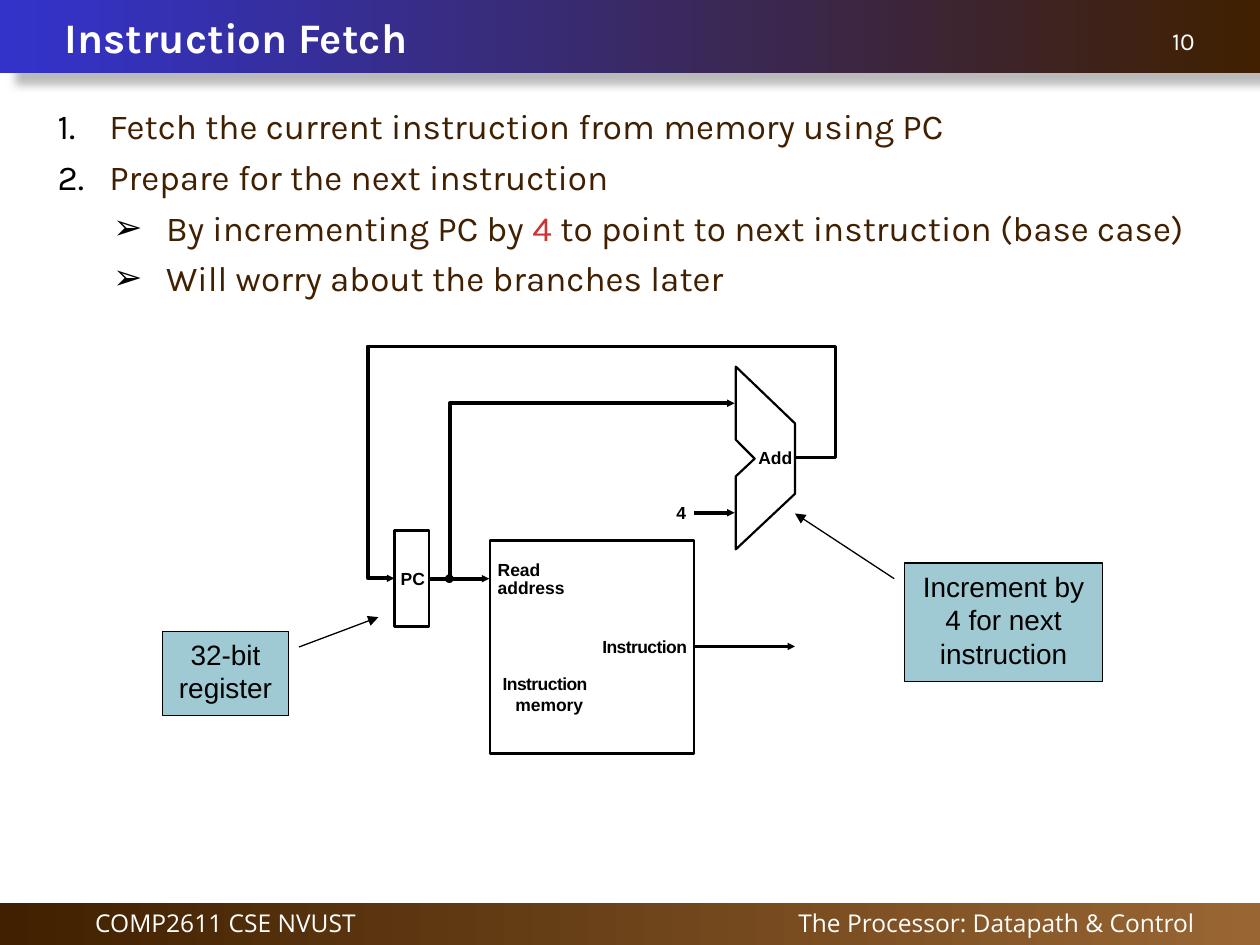
"""Build the Instruction Fetch slide with its datapath diagram."""
from lxml import etree
from pptx import Presentation
from pptx.dml.color import RGBColor
from pptx.enum.shapes import MSO_CONNECTOR, MSO_SHAPE
from pptx.enum.text import MSO_ANCHOR, PP_ALIGN
from pptx.oxml.ns import qn
from pptx.util import Pt

RECT, OVAL, CALLOUT = MSO_SHAPE.RECTANGLE, MSO_SHAPE.OVAL, MSO_SHAPE.LINE_CALLOUT_1
STRAIGHT = MSO_CONNECTOR.STRAIGHT
LEFT, CENTER, RIGHT = PP_ALIGN.LEFT, PP_ALIGN.CENTER, PP_ALIGN.RIGHT
TOP, MIDDLE = MSO_ANCHOR.TOP, MSO_ANCHOR.MIDDLE
BLACK, WHITE, BROWN, RED, TEAL = "000000", "FFFFFF", "402000", "CD3333", "9FCAD3"
WIRE, OUTLINE = 2.13, 1.25
rgb = RGBColor.from_string


def add_run(p, text, size, font, color, bold=False):
    r = p.add_run()
    r.text = text
    r.font.size, r.font.name, r.font.bold = Pt(size), font, bold
    r.font.color.rgb = rgb(color)
    return r


def style_line(sp, width, arrow=None):
    sp.line.color.rgb = rgb(BLACK)
    sp.line.width = Pt(width)
    spPr = sp._element.spPr
    if arrow:
        etree.SubElement(spPr.find(qn("a:ln")), qn("a:tailEnd"), type="triangle", w=arrow, len=arrow)
    etree.SubElement(spPr, qn("a:effectLst"))


prs = Presentation()
prs.slide_width, prs.slide_height = Pt(720), Pt(540)
s = prs.slides.add_slide(prs.slide_layouts[6])

bars = [(516.2, 23.8, "996633", BROWN), (0, 41.8, BROWN, "3333CC")]
for top, height, first, last in bars:
    sp = s.shapes.add_shape(RECT, 0, Pt(top), Pt(720), Pt(height))
    sp.fill.gradient()
    sp.fill.gradient_angle = 180
    for stop, color in zip(sp.fill.gradient_stops, (first, last)):
        stop.color.rgb = rgb(color)
    sp.line.fill.background()
    sp.shadow.inherit = False
effects = sp._element.spPr.find(qn("a:effectLst"))
shadow = etree.SubElement(effects, qn("a:outerShdw"), blurRad=str(Pt(5)), dist=str(Pt(10.4)),
                          dir="2100000", algn="ctr", rotWithShape="0")
shadow_color = etree.SubElement(shadow, qn("a:srgbClr"), val="777777")
etree.SubElement(shadow_color, qn("a:alpha"), val="50000")

headings = [
    ("COMP2611 CSE NVUST", 18, 515.2, 221.8, 24.5, 14, "Open Sans", CENTER, TOP, False),
    ("The Processor: Datapath & Control", 329.8, 515.2, 360, 24.5, 14, "Open Sans", RIGHT, TOP, False),
    ("10", 540, 11.2, 149.8, 24.5, 14, "Karla", RIGHT, TOP, False),
    ("Instruction Fetch", 30, 0, 660.2, 42, 24, "Karla", LEFT, MIDDLE, True),
]
for text, x, y, w, h, size, font, align, anchor, bold in headings:
    tf = s.shapes.add_textbox(Pt(x), Pt(y), Pt(w), Pt(h)).text_frame
    tf.word_wrap, tf.vertical_anchor = True, anchor
    p = tf.paragraphs[0]
    p.alignment = align
    add_run(p, text, size, font, WHITE, bold)

steps = [
    (0, [("Fetch the current instruction from memory using PC", BROWN)]),
    (0, [("Prepare for the next instruction", BROWN)]),
    (1, [("By incrementing PC by ", BROWN), ("4 ", RED),
         ("to point to next instruction (base case)", BROWN)]),
    (1, [("Will worry about the branches later", BROWN)]),
]
indents = [(29.5, -29.5), (61.9, -30.2)]
tf = s.shapes.add_textbox(Pt(25.9), Pt(56.2), Pt(660.2), Pt(432)).text_frame
tf.word_wrap = True
for i, (level, runs) in enumerate(steps):
    p = tf.add_paragraph() if i else tf.paragraphs[0]
    p.level, p.space_before = level, Pt(5)
    for text, color in runs:
        add_run(p, text, 20, "Karla", color)
    pPr = p._p.get_or_add_pPr()
    margin, indent = indents[level]
    pPr.set("marL", str(Pt(margin)))
    pPr.set("indent", str(Pt(indent)))
    bullet_color = etree.SubElement(pPr, qn("a:buClr"))
    etree.SubElement(bullet_color, qn("a:srgbClr"), val=BLACK)
    if level:
        etree.SubElement(pPr, qn("a:buFont"), typeface="Arial")
        etree.SubElement(pPr, qn("a:buChar"), char="➢")
    else:
        etree.SubElement(pPr, qn("a:buAutoNum"), type="arabicPeriod")

boxes = [(225.4, 303.1, 19.6, 54.9), (280.1, 308.9, 116.6, 121.7)]
for x, y, w, h in boxes:
    sp = s.shapes.add_shape(RECT, Pt(x), Pt(y), Pt(w), Pt(h))
    sp.fill.solid()
    sp.fill.fore_color.rgb = rgb(WHITE)
    style_line(sp, OUTLINE)

adder = [(420.5, 209.5), (420.5, 251.3), (431.3, 262.1), (420.5, 272.2),
         (420.5, 313.9), (454.3, 282.2), (454.3, 241.9)]
pc_to_adder = [(257, 330.5), (257, 230.4), (419.8, 230.4)]
adder_to_pc = [(454.3, 261.4), (477.4, 261.4), (477.4, 198),
               (210.2, 198), (210.2, 330.5), (225.4, 330.5)]
for points, closed in [(adder, True), (pc_to_adder, False), (adder_to_pc, False)]:
    start, *rest = [(Pt(x), Pt(y)) for x, y in points]
    builder = s.shapes.build_freeform(*start)
    builder.add_line_segments(rest, close=closed)
    sp = builder.convert_to_shape()
    if closed:
        sp.fill.solid()
        sp.fill.fore_color.rgb = rgb(WHITE)
        style_line(sp, OUTLINE)
    else:
        sp.fill.background()
        style_line(sp, WIRE, "sm")

for x1, x2, y in [(244.8, 279.6, 330.7), (396.7, 419.8, 293), (396.7, 454.3, 369.4)]:
    wire = s.shapes.add_connector(STRAIGHT, Pt(x1), Pt(y), Pt(x2), Pt(y))
    style_line(wire, WIRE, "sm")

junction = s.shapes.add_shape(OVAL, Pt(254.3), Pt(328.2), Pt(5), Pt(5))
junction.fill.solid()
junction.fill.fore_color.rgb = rgb(BLACK)
junction.line.fill.background()
junction.shadow.inherit = False

labels = [
    ("PC", 229, 324.7, 16), ("Instruction", 287.3, 384.5, 52), ("memory", 294.5, 396.7, 46),
    ("Read", 284.4, 319.7, 32), ("address", 284.4, 329.8, 48), ("Instruction", 344.2, 363.6, 52),
    ("4", 386.6, 286.6, 8), ("Add", 433.4, 255.6, 21),
]
for text, x, y, w in labels:
    tf = s.shapes.add_textbox(Pt(x), Pt(y), Pt(w), Pt(12.2)).text_frame
    tf.word_wrap = True
    tf.margin_left = tf.margin_right = tf.margin_top = tf.margin_bottom = 0
    r = add_run(tf.paragraphs[0], text, 10, "Arial", BLACK, True)
    if text == "Instruction":
        r._r.get_or_add_rPr().set("spc", "-30")

callouts = [
    ("Increment by 4 for next instruction", 517, 321.8, 113, 67.7, (0.132, -0.053, -0.419, -0.555)),
    ("32-bit register", 92.9, 360.7, 72, 48.2, (0.188, 1.083, -0.167, 1.714)),
]
for text, x, y, w, h, pointer in callouts:
    sp = s.shapes.add_shape(CALLOUT, Pt(x), Pt(y), Pt(w), Pt(h))
    for i, value in enumerate(pointer):
        sp.adjustments[i] = value
    sp.fill.solid()
    sp.fill.fore_color.rgb = rgb(TEAL)
    style_line(sp, 0.75, "med")
    tf = sp.text_frame
    tf.word_wrap, tf.vertical_anchor = True, TOP
    p = tf.paragraphs[0]
    p.alignment = CENTER
    add_run(p, text, 16, "Arial", BLACK)

prs.save("out.pptx")
